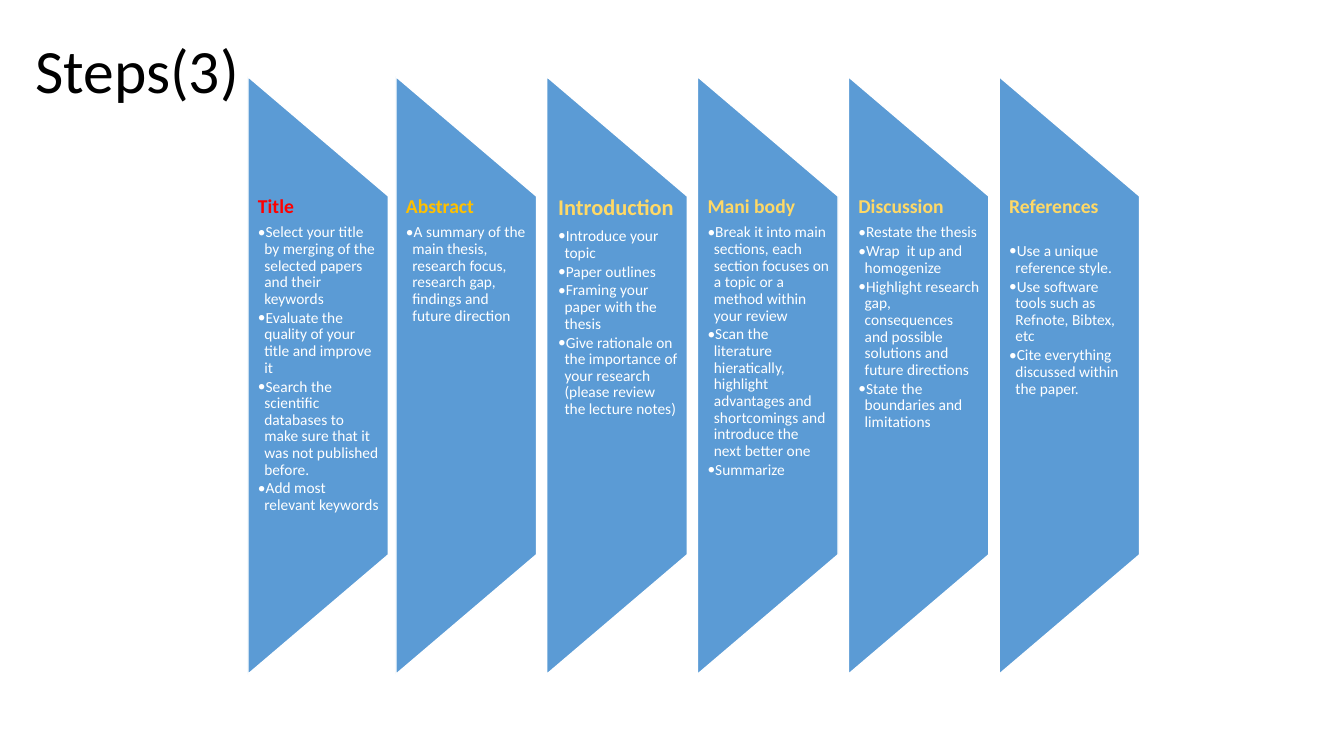
from pptx import Presentation, util as u
from pptx.dml.color import RGBColor
from pptx.enum import shapes, text
from pptx.oxml.ns import qn
from lxml import etree

Cm, Pt = u.Cm, u.Pt


def paint(color_format, hex_color):
    color_format.rgb = RGBColor.from_string(hex_color)


def add_line(paragraph, wording, size, color, bold=False, after=0):
    paragraph.line_spacing = 0.9
    paragraph.space_after = Pt(after)
    run = paragraph.add_run()
    run.text = wording
    run.font.name = "Calibri"
    run.font.size = Pt(size)
    run.font.bold = bold
    paint(run.font.color, color)


# Heading, heading size, heading colour, space below heading, bullets
steps = [
    ("Title", 14, "FF0000", 5, [
        "Select your title by merging of the selected papers and their keywords",
        "Evaluate the quality of your title and improve it",
        "Search the scientific databases to make sure that it was not published before.",
        "Add most relevant keywords"]),
    ("Abstract", 14, "FFC000", 5, [
        "A summary of the main thesis, research focus, research gap, "
        "findings and future direction"]),
    ("Introduction", 16, "FFD966", 5.5, [
        "Introduce your topic",
        "Paper outlines",
        "Framing your paper with the thesis",
        "Give rationale on the importance of your research "
        "(please review the lecture notes)"]),
    ("Mani body", 14, "FFD966", 5, [
        "Break it into main sections, each section focuses on a topic "
        "or a method within your review",
        "Scan the literature hieratically, highlight advantages and "
        "shortcomings and introduce the next better one",
        "Summarize"]),
    ("Discussion", 14, "FFD966", 5, [
        "Restate the thesis",
        "Wrap  it up and homogenize",
        "Highlight research gap, consequences and possible solutions "
        "and future directions",
        "State the boundaries and limitations"]),
    ("References", 14, "FFD966", 18.3, [
        "Use a unique reference style.",
        "Use software tools such as Refnote, Bibtex, etc",
        "Cite everything discussed within the paper."]),
]

deck = Presentation()
deck.slide_width, deck.slide_height = Cm(33.87), Cm(19.05)
slide = deck.slides.add_slide(deck.slide_layouts[6])

# Slide title
title = slide.shapes.add_textbox(Cm(0.64), 0, Cm(29.21), Cm(3.72)).text_frame
title.word_wrap = True
title.vertical_anchor = text.MSO_ANCHOR.MIDDLE
add_line(title.paragraphs[0], "Steps(3)", 44, "000000")

# Six panels, each a trapezoid turned on its side
panel_length, panel_width, pitch = 15.06, 3.54, 3.8
middle = 9.46
for i, (heading, size, color, gap, bullets) in enumerate(steps):
    left = max(6.25, 6.18 + pitch * i)  # the first panel sits slightly inward
    panel = slide.shapes.add_shape(
        shapes.MSO_SHAPE.FLOWCHART_MANUAL_OPERATION,
        Cm(left + (panel_width - panel_length) / 2), Cm(middle - panel_width / 2),
        Cm(panel_length), Cm(panel_width))
    panel.rotation = 270
    panel.shadow.inherit = False
    panel.fill.solid()
    paint(panel.fill.fore_color, "5B9BD5")
    paint(panel.line.color, "FFFFFF")
    panel.line.width = Pt(1)

    # Heading and bullets
    body = slide.shapes.add_textbox(
        Cm(left), Cm(4.95), Cm(panel_width), Cm(9.04)).text_frame
    body.word_wrap = True
    body.margin_top = body.margin_bottom = 0
    body.margin_left = Cm(0.018 * size)
    body.margin_right = Cm(0.015 * size)
    add_line(body.paragraphs[0], heading, size, color, True, gap)
    for wording in bullets:
        point = body.add_paragraph()
        add_line(point, wording, 11, "FFFFFF", after=1.6)
        properties = point._p.get_or_add_pPr()
        properties.set("marL", str(Cm(0.16)))
        properties.set("indent", str(-Cm(0.16)))
        etree.SubElement(properties, qn("a:buFont")).set("typeface", "Calibri")
        etree.SubElement(properties, qn("a:buChar")).set("char", "•")

deck.save("out.pptx")
